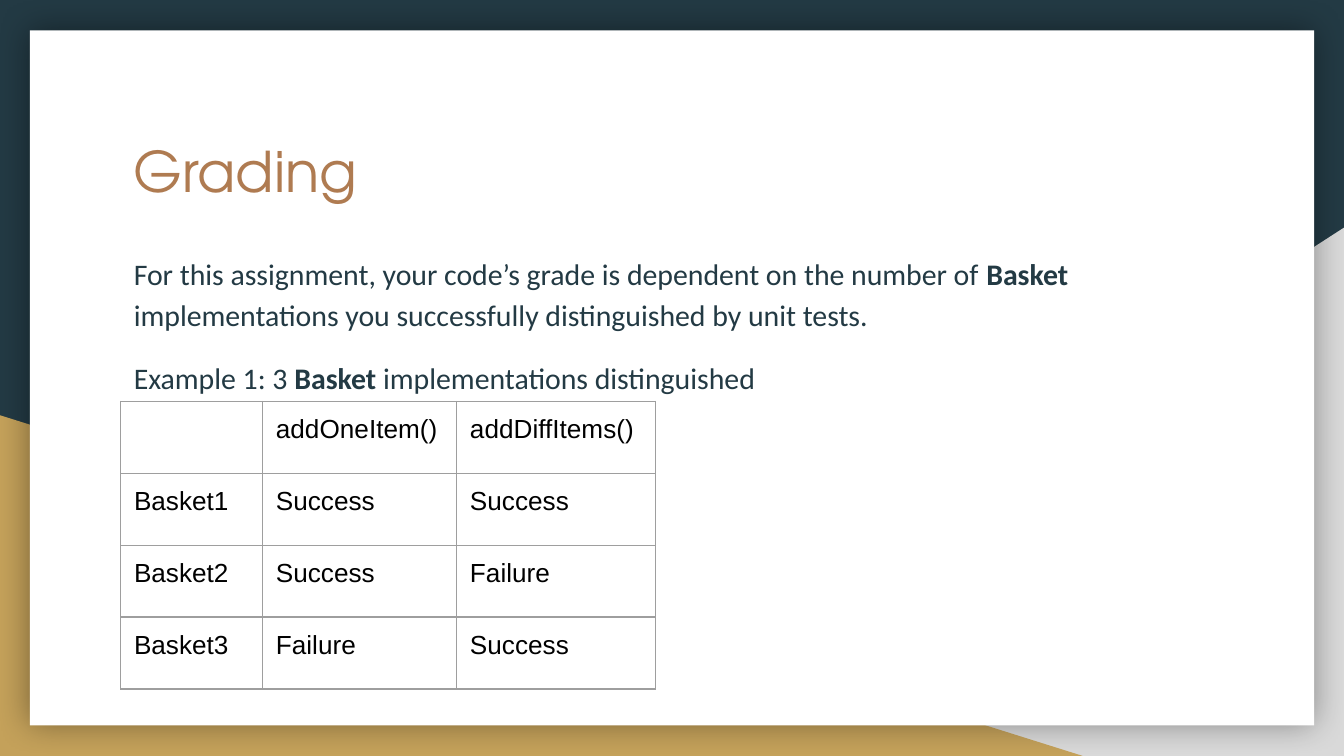
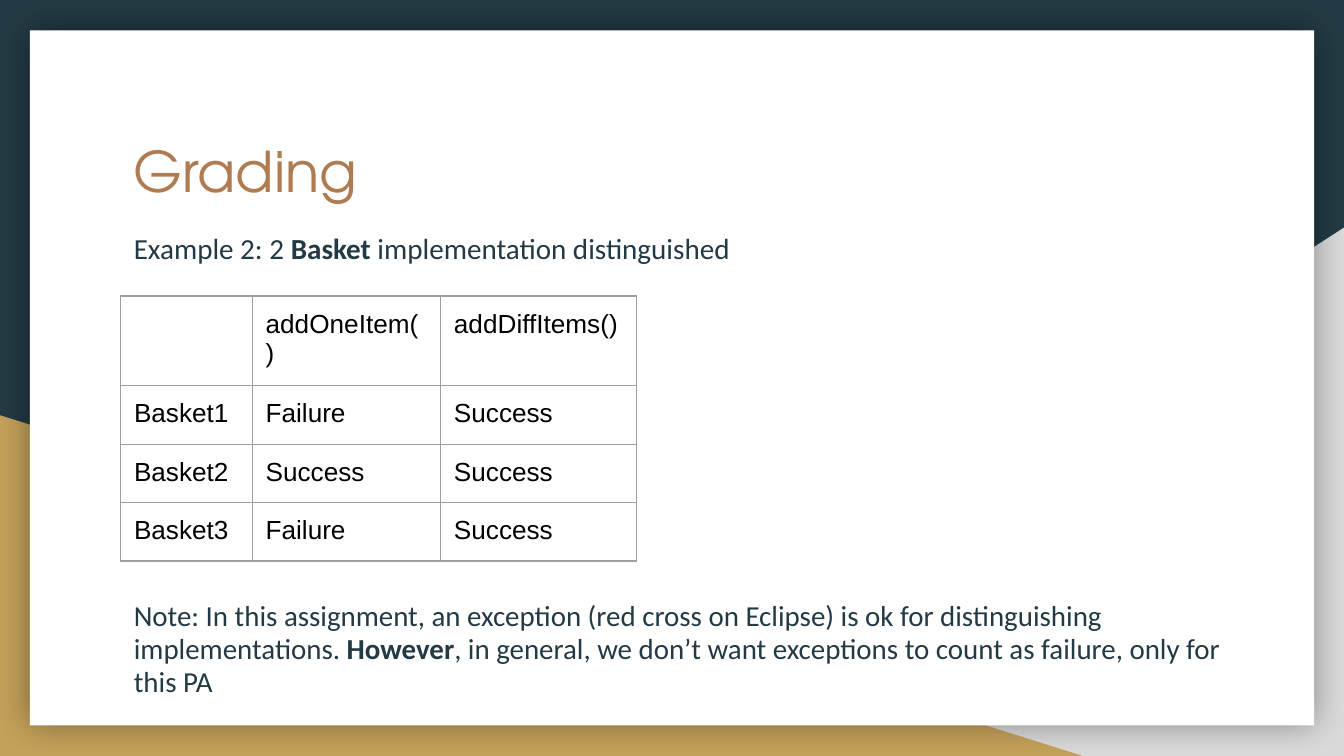
from dataclasses import dataclass

from lxml.etree import SubElement
from pptx import Presentation
from pptx.dml.color import RGBColor
from pptx.enum.shapes import MSO_SHAPE as Preset
from pptx.oxml import parse_xml
from pptx.oxml.ns import nsdecls, qn
from pptx.util import Pt

NAVY, GOLD, GRAY, WHITE = "233A44", "C4A15A", "D9D9D9", "FFFFFF"
COPPER, BLACK, GRID = "AF7B51", "000000", "9E9E9E"
TITLE_FONT, BODY_FONT, TABLE_FONT = "TeX Gyre Adventor", "Calibri", "Arial"
WIDTH, HEIGHT = 720, 405
MARGIN = 64.6
INSET = 7.2


@dataclass(frozen=True)
class Box:
    left: float
    top: float
    width: float
    height: float

    def lengths(self) -> tuple:
        return Pt(self.left), Pt(self.top), Pt(self.width), Pt(self.height)


@dataclass(frozen=True)
class Passage:
    box: Box
    paragraphs: tuple[str, ...]
    size: float
    spacing: float


@dataclass(frozen=True)
class Results:
    top: float
    columns: tuple[float, ...]
    rows: tuple[float, ...]
    outcomes: tuple[tuple[str, str], ...]


@dataclass(frozen=True)
class GradingSlide:
    passages: tuple[Passage, ...]
    results: Results


TITLE_BOX = Box(MARGIN, 66.2, 591, 75)
TEST_NAMES = ("", "addOneItem()", "addDiffItems()")

GRADING_SLIDES = (
    GradingSlide(
        passages=(
            Passage(
                Box(MARGIN, 126.7, 591, 193),
                (
                    "For this assignment, your code’s grade is dependent on the number of "
                    "*Basket *implementations you successfully distinguished by unit tests.",
                    "Example 1: 3 *Basket* implementations distinguished",
                ),
                size=16,
                spacing=1.15,
            ),
        ),
        results=Results(
            top=215.1,
            columns=(76, 104, 106.6),
            rows=(38.5,) * 4,
            outcomes=(("Success", "Success"), ("Success", "Failure"), ("Failure", "Success")),
        ),
    ),
    GradingSlide(
        passages=(
            Passage(
                Box(MARGIN, 117.4, 619, 36),
                ("Example 2: 2 *Basket* implementation distinguished",),
                size=15.6,
                spacing=0.95,
            ),
            Passage(
                Box(MARGIN, 314.5, 619, 70),
                (
                    "Note: In this assignment, an exception (red cross on Eclipse) is ok for "
                    "distinguishing implementations. *However*, in general, we don’t want "
                    "exceptions to count as failure, only for this PA",
                ),
                size=15.5,
                spacing=0.95,
            ),
        ),
        results=Results(
            top=158.6,
            columns=(70.5, 100.9, 105),
            rows=(47.8, 31.3, 31.3, 31.3),
            outcomes=(("Failure", "Success"), ("Success", "Success"), ("Failure", "Success")),
        ),
    ),
)


def color(value: str) -> RGBColor:
    return RGBColor.from_string(value)


def write(frame, *paragraphs: str, font: str, size: float, ink: str,
          spacing: float = 1.0, gap: float = 12) -> None:
    """Fill a text frame; words between asterisks become bold."""
    frame.word_wrap = True
    frame.margin_left = frame.margin_right = Pt(INSET)
    frame.margin_top = frame.margin_bottom = Pt(INSET)
    for index, text in enumerate(paragraphs):
        paragraph = frame.add_paragraph() if index else frame.paragraphs[0]
        paragraph.line_spacing = spacing
        if index:
            paragraph.space_before = Pt(gap)
        for position, part in enumerate(text.split("*")):
            if not part:
                continue
            run = paragraph.add_run()
            run.text = part
            run.font.name = font
            run.font.size = Pt(size)
            run.font.bold = position % 2 == 1
            run.font.color.rgb = color(ink)


def add_text(slide, box: Box, *paragraphs: str, **style) -> None:
    write(slide.shapes.add_textbox(*box.lengths()).text_frame, *paragraphs, **style)


def add_block(slide, preset: Preset, box: Box, fill: str):
    block = slide.shapes.add_shape(preset, *box.lengths())
    block.shadow.inherit = False
    block.fill.solid()
    block.fill.fore_color.rgb = color(fill)
    block.line.fill.background()
    return block


def add_glow(block) -> None:
    """Give a block a soft, centred black shadow."""
    effects = block._element.spPr.find(qn("a:effectLst"))
    effects.append(parse_xml(
        f'<a:outerShdw {nsdecls("a")} blurRad="{Pt(18)}" dist="0" dir="0" '
        f'algn="ctr" rotWithShape="0"><a:srgbClr val="{BLACK}">'
        '<a:alpha val="40000"/></a:srgbClr></a:outerShdw>'
    ))


def add_backdrop(slide) -> None:
    slide.background.fill.solid()
    slide.background.fill.fore_color.rgb = color(NAVY)
    right_corner = add_block(slide, Preset.RIGHT_TRIANGLE,
                             Box(282, 122, WIDTH - 282, HEIGHT - 122), GRAY)
    right_corner._element.spPr.find(qn("a:xfrm")).set("flipH", "1")
    add_block(slide, Preset.RIGHT_TRIANGLE, Box(0, 222.5, 580, HEIGHT - 222.5), GOLD)
    add_glow(add_block(slide, Preset.RECTANGLE, Box(16, 16.2, WIDTH - 32, 372.4), WHITE))


def outline_cell(cell) -> None:
    properties = cell._tc.get_or_add_tcPr()
    for index, side in enumerate(("lnL", "lnR", "lnT", "lnB")):
        edge = parse_xml(f'<a:{side} {nsdecls("a")} w="{Pt(0.75)}"/>')
        fill = SubElement(edge, qn("a:solidFill"))
        SubElement(fill, qn("a:srgbClr")).set("val", GRID)
        properties.insert(index, edge)


def add_results(slide, results: Results) -> None:
    cells = [TEST_NAMES] + [
        (f"Basket{number}", *outcome)
        for number, outcome in enumerate(results.outcomes, start=1)
    ]
    box = Box(MARGIN, results.top, sum(results.columns), sum(results.rows))
    table = slide.shapes.add_table(len(cells), len(TEST_NAMES), *box.lengths()).table
    table.first_row = table.horz_banding = False
    for column, width in zip(table.columns, results.columns):
        column.width = Pt(width)
    for row, height, texts in zip(table.rows, results.rows, cells):
        row.height = Pt(height)
        for cell, text in zip(row.cells, texts):
            cell.fill.background()
            outline_cell(cell)
            cell.margin_left = cell.margin_right = Pt(INSET)
            cell.margin_top = cell.margin_bottom = Pt(INSET)
            if text:
                write_cell(cell, text)


def write_cell(cell, text: str) -> None:
    write(cell.text_frame, text, font=TABLE_FONT, size=14, ink=BLACK)
    cell.margin_left = cell.margin_right = Pt(INSET)


def add_grading_slide(deck, content: GradingSlide) -> None:
    slide = deck.slides.add_slide(deck.slide_layouts[6])
    add_backdrop(slide)
    add_text(slide, TITLE_BOX, "Grading", font=TITLE_FONT, size=30, ink=COPPER)
    for passage in content.passages:
        add_text(slide, passage.box, *passage.paragraphs, font=BODY_FONT,
                 size=passage.size, ink=NAVY, spacing=passage.spacing)
    add_results(slide, content.results)


def main() -> None:
    deck = Presentation()
    deck.slide_width, deck.slide_height = Pt(WIDTH), Pt(HEIGHT)
    for content in GRADING_SLIDES:
        add_grading_slide(deck, content)
    deck.save("out.pptx")


if __name__ == "__main__":
    main()
